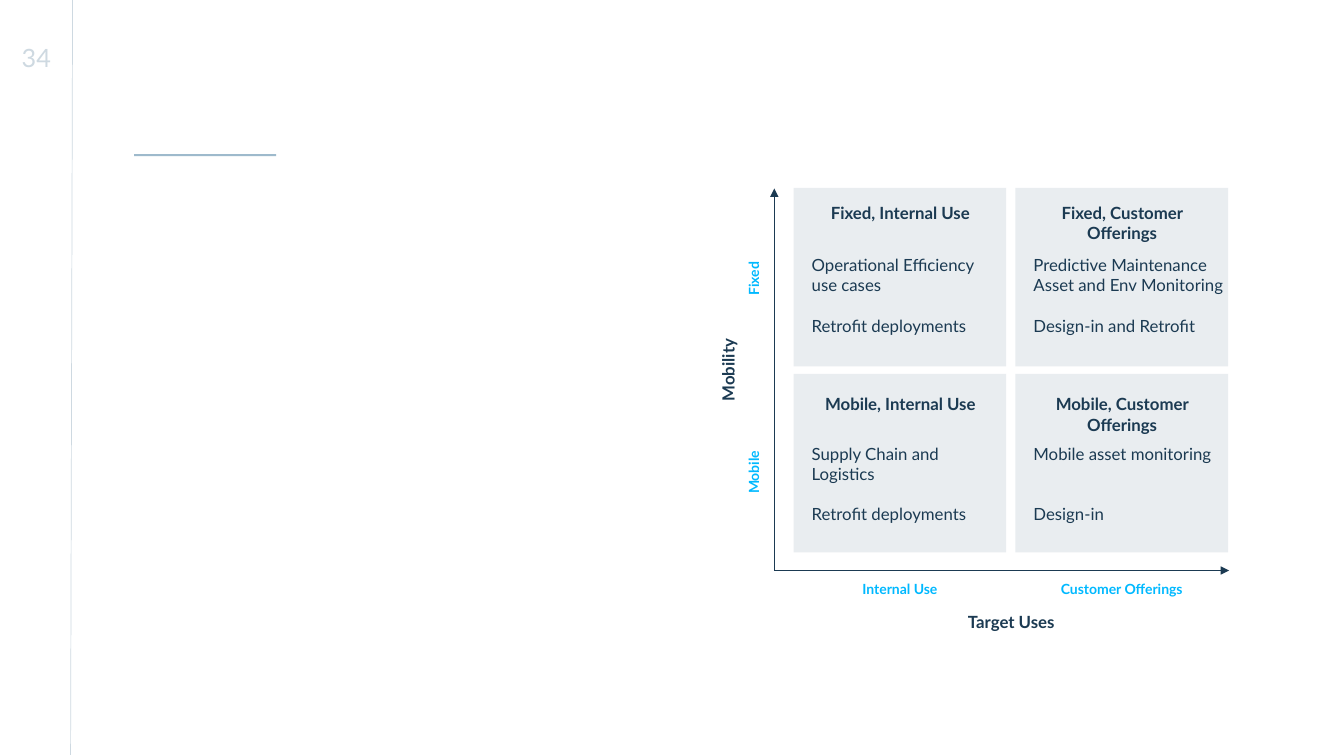
"""Build a slide with a two-by-two matrix of mobility against target uses."""
import pptx
import pptx.dml.color
import pptx.enum.shapes
import pptx.enum.text
import pptx.oxml.ns
import pptx.util
from lxml import etree

FONT = "Lato"
NAVY, CYAN, TILE, PALE, RULE = "1B3A52", "00B9FF", "E9EDF0", "CED9E1", "9EBACC"
COLUMNS = (7.87, 10.07)
TILE_WIDTH, TILE_HEIGHT = 2.11, 1.77
BODY_WIDTHS = (1.78, 1.94)
TILE_TOPS = (1.865, 3.71)
TITLE_TOPS = (2.01, 3.91)
BODY_TOPS = (2.53, 4.4)
FIXED, MOBILE = 2.765, 4.685
AXIS_X, AXIS_Y = 7.68, 5.66
AXIS_TOP, AXIS_RIGHT = 1.87, 12.19
LINE_PITCH = 14.4
QUADRANTS = (
    (0, 0, "Fixed, Internal Use", ["Operational Efficiency use cases"], 1, "Retrofit deployments"),
    (1, 0, "Fixed, Customer Offerings", ["Predictive Maintenance", "Asset and Env Monitoring"], 1,
     "Design-in and Retrofit"),
    (0, 1, "Mobile, Internal Use", ["Supply Chain and Logistics"], 1, "Retrofit deployments"),
    (1, 1, "Mobile, Customer Offerings", ["Mobile asset monitoring"], 2, "Design-in"),
)


def color(value):
    """Return the colour for a hex string."""
    return pptx.dml.color.RGBColor.from_string(value)


def inches(*lengths):
    """Convert lengths in inches to slide units."""
    return [pptx.util.Inches(length) for length in lengths]


def add_text(slide, lines, left, top, width, height, size=12, ink=NAVY, bold=False,
             centered=True, rotation=0, gap_lines=0):
    """Add a text box, with blank space of gap_lines before its last paragraph."""
    box = slide.shapes.add_textbox(*inches(left, top, width, height))
    box.rotation = rotation
    frame = box.text_frame
    frame.word_wrap = True
    frame.margin_left = frame.margin_right = frame.margin_top = frame.margin_bottom = 0
    frame.text = "\n".join(lines)
    align = pptx.enum.text.PP_ALIGN
    for paragraph in frame.paragraphs:
        paragraph.alignment = align.CENTER if centered else align.LEFT
        font = paragraph.runs[0].font
        font.name, font.size, font.bold = FONT, pptx.util.Pt(size), bold
        font.color.rgb = color(ink)
    if gap_lines:
        frame.paragraphs[-1].space_before = pptx.util.Pt(gap_lines * LINE_PITCH)


def add_vertical_label(slide, label, center_x, center_y, **style):
    """Add an upward-reading label centred on a point."""
    width, height = 1.8, 0.2
    add_text(slide, [label], center_x - width / 2, center_y - height / 2, width, height,
             bold=True, rotation=270, **style)


def add_block(slide, left, top, width, height, fill):
    """Add a plain filled rectangle."""
    kind = pptx.enum.shapes.MSO_SHAPE.RECTANGLE
    shape = slide.shapes.add_shape(kind, *inches(left, top, width, height))
    shape.shadow.inherit = False
    shape.fill.solid()
    shape.fill.fore_color.rgb = color(fill)
    shape.line.fill.background()


def add_line(slide, start, end, ink, weight, arrow=False):
    """Add a straight line, with an arrowhead at its end if asked."""
    kind = pptx.enum.shapes.MSO_CONNECTOR.STRAIGHT
    connector = slide.shapes.add_connector(kind, *inches(*start, *end))
    connector.line.color.rgb = color(ink)
    connector.line.width = pptx.util.Pt(weight)
    qualified = pptx.oxml.ns.qn
    properties = connector.element.spPr
    if arrow:
        etree.SubElement(properties.find(qualified("a:ln")), qualified("a:tailEnd"), type="triangle")
    etree.SubElement(properties, qualified("a:effectLst"))


def add_quadrant(slide, column, row, title, uses, gap_lines, deployment):
    """Add one tile of the matrix with its title and body."""
    left = COLUMNS[column]
    add_block(slide, left, TILE_TOPS[row], TILE_WIDTH, TILE_HEIGHT, TILE)
    add_text(slide, [title], left + 0.17, TITLE_TOPS[row], 1.78, 0.4, bold=True)
    add_text(slide, [*uses, deployment], left + 0.18, BODY_TOPS[row], BODY_WIDTHS[column], 0.81,
             centered=False, gap_lines=gap_lines)


def add_axes(slide):
    """Add the two arrows with their titles and category labels."""
    origin = (AXIS_X, AXIS_Y)
    for end in ((AXIS_X, AXIS_TOP), (AXIS_RIGHT, AXIS_Y)):
        add_line(slide, origin, end, NAVY, 1, arrow=True)
    add_vertical_label(slide, "Mobility", 7.22, 3.67)
    for label, center_y in (("Fixed", FIXED), ("Mobile", MOBILE)):
        add_vertical_label(slide, label, 7.49, center_y, size=10, ink=CYAN)
    for label, left in zip(("Internal Use", "Customer Offerings"), COLUMNS):
        add_text(slide, [label], left, 5.76, TILE_WIDTH, 0.17, size=10, ink=CYAN, bold=True)
    add_text(slide, ["Target Uses"], COLUMNS[0], 6.07, AXIS_RIGHT - COLUMNS[0], 0.2, bold=True)


def main():
    """Build and save the slide."""
    presentation = pptx.Presentation()
    presentation.slide_width, presentation.slide_height = inches(13.33, 7.5)
    slide = presentation.slides.add_slide(presentation.slide_layouts[6])
    add_text(slide, ["34"], 0, 0.42, 0.72, 0.3, size=18, ink=PALE)
    add_block(slide, 1.33, 1.53, 1.41, 0.02, RULE)
    add_line(slide, (0.72, 0), (0.7, 7.49), PALE, 0.5)
    for quadrant in QUADRANTS:
        add_quadrant(slide, *quadrant)
    add_axes(slide)
    presentation.save("out.pptx")


if __name__ == "__main__":
    main()
